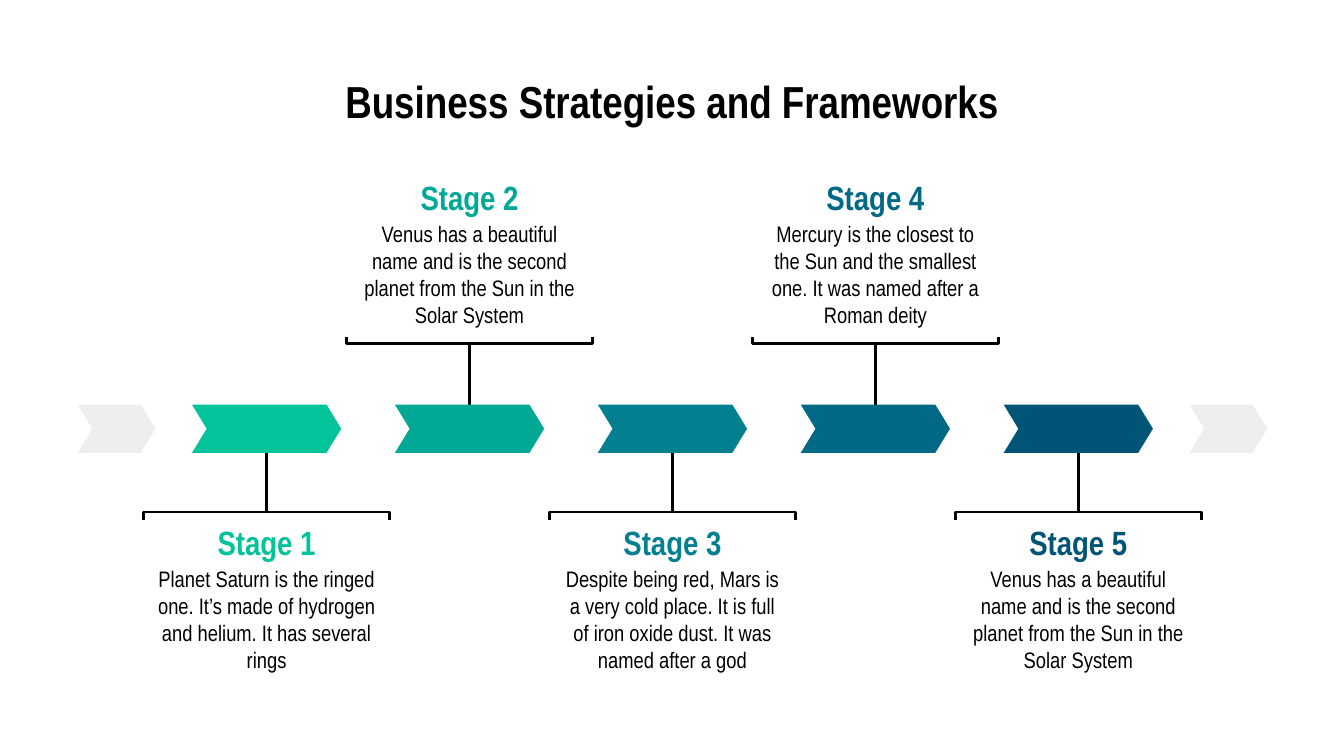
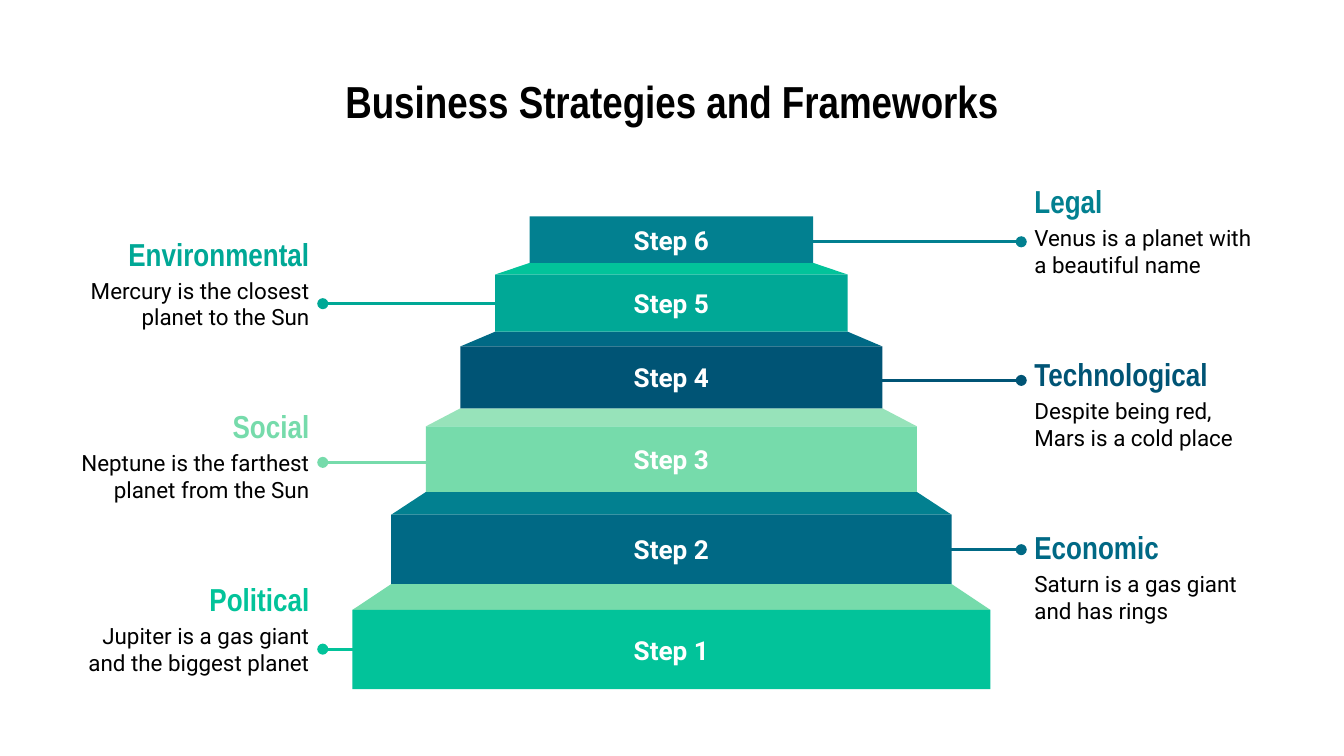
from collections import namedtuple
from dataclasses import dataclass

import lxml.etree
import pptx
import pptx.dml.color
import pptx.enum.shapes
import pptx.enum.text
import pptx.oxml.ns
import pptx.util

Cm = pptx.util.Cm
Align = pptx.enum.text.PP_ALIGN
Anchor = pptx.enum.text.MSO_ANCHOR
Preset = pptx.enum.shapes.MSO_SHAPE
qn = pptx.oxml.ns.qn


@dataclass(frozen=True)
class Theme:
    ink: str = "000000"
    white: str = "FFFFFF"
    pale: str = "EEEEEE"
    green: str = "02C39A"
    jade: str = "00A896"
    teal: str = "028090"
    blue: str = "006985"
    navy: str = "005475"
    mint: str = "76DBAB"
    light_mint: str = "97E3BA"
    heading_font: str = "Arial Narrow"
    label_font: str = "Roboto"
    title_size: int = 24
    stage_size: int = 18
    factor_size: int = 17
    step_size: int = 14
    body_size: int = 12
    line_width: float = 1.5


THEME = Theme()
TITLE = "Business Strategies and Frameworks"
INSET = 0.25

STAGES = [
    ("Stage 1", THEME.green, "Planet Saturn is the ringed one. It’s made of hydrogen and helium. It has several rings"),
    ("Stage 2", THEME.jade, "Venus has a beautiful name and is the second planet from the Sun in the Solar System"),
    ("Stage 3", THEME.teal, "Despite being red, Mars is a very cold place. It is full of iron oxide dust. It was named after a god"),
    ("Stage 4", THEME.blue, "Mercury is the closest to the Sun and the smallest one. It was named after a Roman deity"),
    ("Stage 5", THEME.navy, "Venus has a beautiful name and is the second planet from the Sun in the Solar System"),
]
STAGE_START, STAGE_PITCH, STAGE_WIDTH = 5.04, 3.835, 4.65
CHEVRON_TOP, CHEVRON_WIDTH, CHEVRON_HEIGHT = 7.65, 2.82, 0.91
Side = namedtuple("Side", "heading body bar tip")
BELOW = Side(9.86, 10.44, 9.68, 9.83)
ABOVE = Side(3.33, 3.91, 6.5, 6.37)

Step = namedtuple("Step", "name top width height color ledge leader factor detail")
STEPS = [
    Step("Step 6", 4.09, 5.36, 0.88, THEME.teal, None, 4.57,
         "Legal", "Venus is a planet with a beautiful name"),
    Step("Step 5", 5.19, 6.66, 1.08, THEME.jade, THEME.green, 5.74,
         "Environmental", "Mercury is the closest planet to the Sun"),
    Step("Step 4", 6.55, 7.98, 1.17, THEME.navy, THEME.blue, 7.19,
         "Technological", "Despite being red, Mars is a cold place"),
    Step("Step 3", 8.06, 9.28, 1.24, THEME.mint, THEME.light_mint, 8.74,
         "Social", "Neptune is the farthest planet from the Sun"),
    Step("Step 2", 9.73, 10.59, 1.31, THEME.blue, THEME.teal, 10.39,
         "Economic", "Saturn is a gas giant and has rings"),
    Step("Step 1", 11.53, 12.06, 1.5, THEME.green, THEME.mint, 12.27,
         "Political", "Jupiter is a gas giant and the biggest planet"),
]
PYRAMID_CENTER = 12.69
FACTOR_PITCH = 3.265
FACTOR_WIDTH, DETAIL_WIDTH, LABEL_HEIGHT = 4.06, 4.83, 0.94
Flank = namedtuple("Flank", "edge inner first align")
RIGHT = Flank(19.3, 15.04, 3.33, Align.LEFT)
LEFT = Flank(6.1, 10.33, 4.32, Align.RIGHT)


def rgb(color):
    return pptx.dml.color.RGBColor.from_string(color)


def write(shape, text, size, color, font=THEME.heading_font, bold=False,
          align=Align.CENTER, anchor=Anchor.MIDDLE):
    frame = shape.text_frame
    frame.word_wrap = True
    frame.auto_size = pptx.enum.text.MSO_AUTO_SIZE.NONE
    frame.vertical_anchor = anchor
    frame.margin_left = frame.margin_right = Cm(INSET)
    frame.margin_top = frame.margin_bottom = Cm(INSET)
    frame.text = text
    paragraph = frame.paragraphs[0]
    paragraph.alignment = align
    paragraph.font.name = font
    paragraph.font.size = pptx.util.Pt(size)
    paragraph.font.bold = bold
    paragraph.font.color.rgb = rgb(color)


def add_label(shapes, left, top, width, height, text, size, color, **style):
    box = shapes.add_textbox(Cm(left), Cm(top), Cm(width), Cm(height))
    write(box, text, size, color, **style)


def fill_flat(shape, color):
    shape.shadow.inherit = False
    shape.fill.solid()
    shape.fill.fore_color.rgb = rgb(color)
    shape.line.fill.background()


def draw_line(line, color):
    line.color.rgb = rgb(color)
    line.width = pptx.util.Pt(THEME.line_width)


def add_block(shapes, preset, left, top, width, height, color):
    block = shapes.add_shape(preset, Cm(left), Cm(top), Cm(width), Cm(height))
    fill_flat(block, color)
    return block


def add_chevron(shapes, left, width, color):
    chevron = add_block(shapes, Preset.CHEVRON, left, CHEVRON_TOP, width, CHEVRON_HEIGHT, color)
    chevron.adjustments[0] = 0.305


def add_outline(shapes, points, close):
    start, *rest = [(Cm(x), Cm(y)) for x, y in points]
    builder = shapes.build_freeform(*start)
    builder.add_line_segments(rest, close=close)
    return builder.convert_to_shape()


def add_line(shapes, x1, y1, x2, y2, color, dot=False):
    connector = shapes.add_connector(
        pptx.enum.shapes.MSO_CONNECTOR.STRAIGHT, Cm(x1), Cm(y1), Cm(x2), Cm(y2))
    draw_line(connector.line, color)
    properties = connector._element.spPr
    if dot:
        lxml.etree.SubElement(properties.find(qn("a:ln")), qn("a:headEnd"), type="oval")
    lxml.etree.SubElement(properties, qn("a:effectLst"))


def add_titled_slide(deck):
    slide = deck.slides.add_slide(deck.slide_layouts[5])
    title = slide.shapes.title
    title.left, title.top, title.width, title.height = Cm(1.27), Cm(1.14), Cm(22.86), Cm(1.6)
    write(title, TITLE, THEME.title_size, THEME.ink, bold=True, anchor=Anchor.TOP)
    return slide


def add_stage(slide, center, side, name, color, detail):
    shapes = slide.shapes.add_group_shape().shapes
    left, right = center - STAGE_WIDTH / 2, center + STAGE_WIDTH / 2
    add_label(shapes, left, side.heading, STAGE_WIDTH, 0.79, name, THEME.stage_size, color, bold=True)
    add_label(shapes, left, side.body, STAGE_WIDTH, 2.46, detail, THEME.body_size, THEME.ink,
              anchor=Anchor.TOP)
    add_line(shapes, center, CHEVRON_TOP + CHEVRON_HEIGHT / 2, center, side.bar, THEME.ink)
    bracket = add_outline(
        shapes, [(left, side.tip), (left, side.bar), (right, side.bar), (right, side.tip)], close=False)
    bracket.shadow.inherit = False
    bracket.fill.background()
    draw_line(bracket.line, THEME.ink)
    add_chevron(shapes, center - CHEVRON_WIDTH / 2, CHEVRON_WIDTH, color)


def add_ledge(shapes, upper, step):
    top = upper.top + upper.height
    ledge = add_outline(shapes, [
        (PYRAMID_CENTER - step.width / 2, step.top),
        (PYRAMID_CENTER + step.width / 2, step.top),
        (PYRAMID_CENTER + upper.width / 2, top),
        (PYRAMID_CENTER - upper.width / 2, top),
    ], close=True)
    fill_flat(ledge, step.ledge)


def add_step(shapes, step):
    block = add_block(shapes, Preset.RECTANGLE, PYRAMID_CENTER - step.width / 2, step.top,
                      step.width, step.height, step.color)
    write(block, step.name, THEME.step_size, THEME.white, font=THEME.label_font, bold=True)


def add_factor(shapes, step, flank, row):
    top = flank.first + row * FACTOR_PITCH
    on_left = flank is LEFT
    add_line(shapes, flank.edge, step.leader, flank.inner, step.leader, step.color, dot=True)
    add_label(shapes, flank.edge - on_left * FACTOR_WIDTH, top, FACTOR_WIDTH, LABEL_HEIGHT,
              step.factor, THEME.factor_size, step.color, bold=True, align=flank.align)
    add_label(shapes, flank.edge - on_left * DETAIL_WIDTH, top + 0.95, DETAIL_WIDTH, LABEL_HEIGHT,
              step.detail, THEME.body_size, THEME.ink, font=THEME.label_font, align=flank.align)


def build_timeline(deck):
    slide = add_titled_slide(deck)
    for index, stage in enumerate(STAGES):
        side = ABOVE if index % 2 else BELOW
        add_stage(slide, STAGE_START + index * STAGE_PITCH, side, *stage)
    for left in (1.47, 22.48):
        add_chevron(slide.shapes, left, 1.47, THEME.pale)


def build_pyramid(deck):
    shapes = add_titled_slide(deck).shapes
    for upper, step in zip(STEPS, STEPS[1:]):
        add_ledge(shapes, upper, step)
    for index, step in enumerate(STEPS):
        add_step(shapes, step)
        add_factor(shapes, step, LEFT if index % 2 else RIGHT, index // 2)


def main():
    deck = pptx.Presentation()
    deck.slide_width, deck.slide_height = Cm(25.4), Cm(14.29)
    build_timeline(deck)
    build_pyramid(deck)
    deck.save("out.pptx")


if __name__ == "__main__":
    main()
